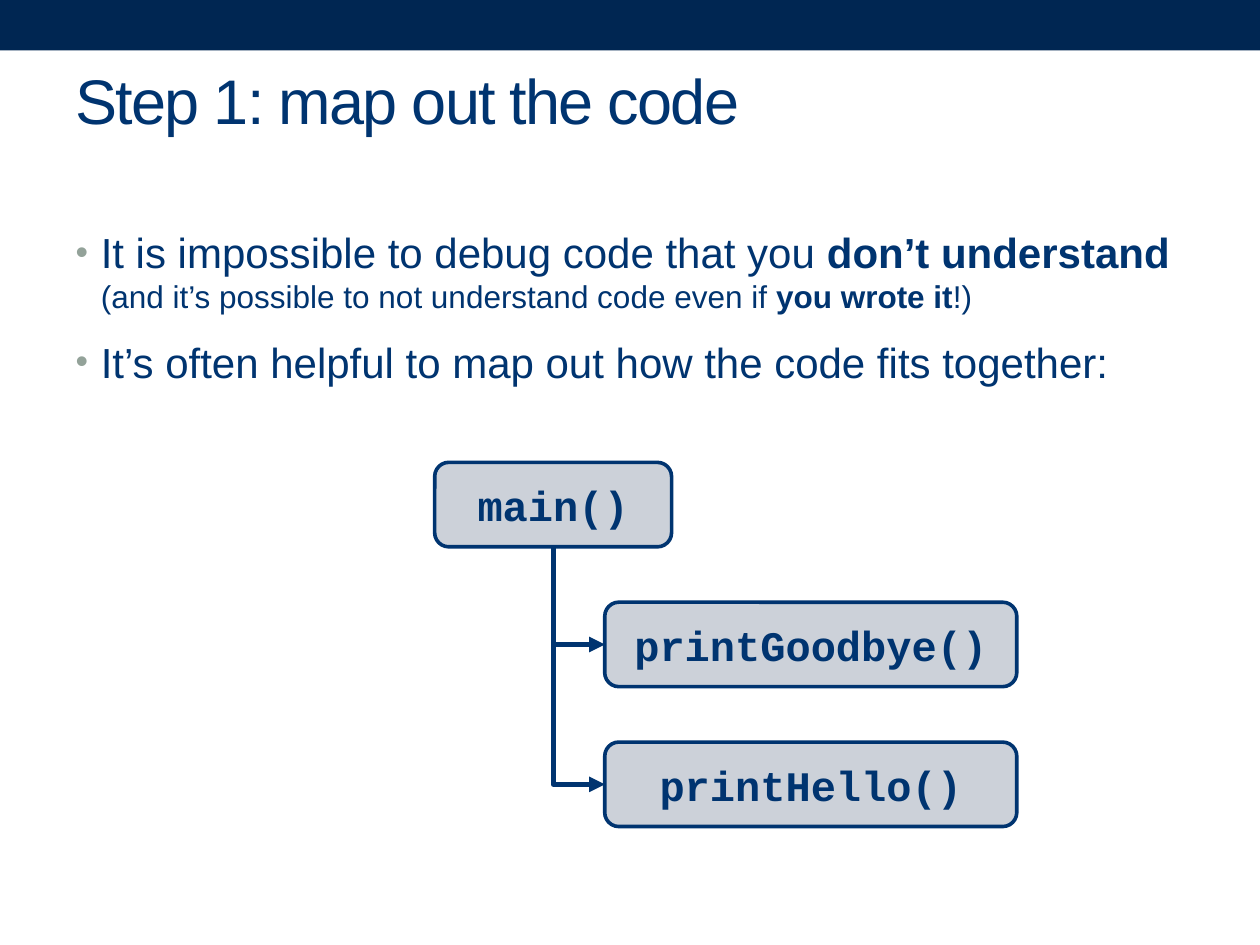
from lxml.etree import SubElement
from pptx import Presentation
from pptx.dml.color import RGBColor
from pptx.enum.shapes import MSO_CONNECTOR as Connector, MSO_SHAPE as Shape
from pptx.enum.text import MSO_ANCHOR as Anchor, PP_ALIGN as Align
from pptx.oxml.ns import qn
from pptx.util import Emu, Inches, Pt

NAVY, BAR, PANEL, BULLET = "003470", "002652", "CCD1D9", "93A299"
COLUMNS, ROWS = 100, 75


def color(value):
    return RGBColor.from_string(value)


def apply(target, **formats):
    for name, value in formats.items():
        setattr(target, name, value)


class SlideBuilder:
    """Holds the style and the current page; lengths are grid columns and rows."""

    def __init__(self, deck):
        self.page = deck.slides.add_slide(deck.slide_layouts[1])
        self.column = deck.slide_width / COLUMNS
        self.row = deck.slide_height / ROWS

    def area(self, left, top, width, height):
        return [Emu(round(n * unit)) for n, unit in zip(
            (left, top, width, height), (self.column, self.row) * 2)]

    def place(self, shape, *area):
        apply(shape, **dict(zip(("left", "top", "width", "height"), self.area(*area))))

    def add_span(self, para, text, size, font="Arial", bold=False):
        span = para.add_run()
        span.text = text
        apply(span.font, name=font, size=Pt(size), bold=bold)
        span.font.color.rgb = color(NAVY)
        return span

    def title(self, text, *area):
        box = self.page.shapes.title
        self.place(box, *area)
        box.text_frame.vertical_anchor = Anchor.MIDDLE
        para = box.text_frame.paragraphs[0]
        para.alignment = Align.LEFT
        self.add_span(para, text, 36).font._element.set("spc", "-100")

    def bullets(self, items, *area):
        box = self.page.placeholders[1]
        self.place(box, *area)
        frame = box.text_frame
        for index, spans in enumerate(items):
            para = frame.add_paragraph() if index else frame.paragraphs[0]
            apply(para, space_before=Pt(12 if index else 0), line_spacing=1.0)
            props = para._p.get_or_add_pPr()
            props.set("marL", str(Inches(0.2)))
            props.set("indent", str(-Inches(0.2)))
            tint = SubElement(props, qn("a:buClr"))
            SubElement(tint, qn("a:srgbClr"), val=BULLET)
            SubElement(props, qn("a:buSzPct"), val="85000")
            SubElement(props, qn("a:buFont"), typeface="Arial")
            SubElement(props, qn("a:buChar"), char="•")
            for text, size, bold in spans:
                self.add_span(para, text, size, bold=bold)

    def panel(self, kind, fill, *area):
        shape = self.page.shapes.add_shape(kind, *self.area(*area))
        shape.shadow.inherit = False
        shape.fill.solid()
        shape.fill.fore_color.rgb = color(fill)
        shape.line.fill.background()
        return shape

    def bar(self, *area):
        shape = self.panel(Shape.RECTANGLE, BAR, *area)
        self.page.shapes._spTree.insert(2, shape._element)  # behind the title

    def function_box(self, name, *area):
        box = self.panel(Shape.ROUNDED_RECTANGLE, PANEL, *area)
        box.line.color.rgb = color(NAVY)
        box.line.width = Pt(2.08)
        apply(box.text_frame, vertical_anchor=Anchor.MIDDLE, word_wrap=True)
        para = box.text_frame.paragraphs[0]
        para.alignment = Align.CENTER
        self.add_span(para, name, 24, "Courier New", True)

    def call_arrow(self, left, top, right, bottom):
        """Runs down, then right: a two-part elbow turned by 270 degrees."""
        x, y, across, down = self.area(left, top, right - left, bottom - top)
        start_x = x + (across - down) // 2
        start_y = y + (down - across) // 2
        arrow = self.page.shapes.add_connector(
            Connector.ELBOW, start_x, start_y, start_x + down, start_y + across)
        arrow.line.color.rgb = color(NAVY)
        arrow.line.width = Pt(3)
        props = arrow._element.spPr
        props.find(qn("a:prstGeom")).set("prst", "bentConnector2")
        turn = props.find(qn("a:xfrm"))
        turn.set("rot", str(270 * 60000))
        turn.set("flipH", "1")
        SubElement(props.find(qn("a:ln")), qn("a:tailEnd"), type="triangle")
        SubElement(props, qn("a:effectLst"))


def main():
    deck = Presentation()
    apply(deck, slide_width=Inches(10), slide_height=Inches(7.5))
    slide = SlideBuilder(deck)

    # Header and text
    slide.bar(0, 0, COLUMNS, 4)
    slide.title("Step 1: map out the code", 5, 2.5, 90, 10.8)
    slide.bullets([
        [("It is impossible to debug code that you ", 24, False),
         ("don’t understand ", 24, True),
         ("(and it’s possible to not understand code even if ", 18, False),
         ("you wrote it", 18, True),
         ("!)", 18, False)],
        [("It’s often helpful to map out how the code fits together:", 24, False)],
    ], 5, 17.5, 90, 53.3)

    # Call tree: the caller, then each called function one step lower
    top, height, step = 36.7, 6.7, 11.1
    caller_left, caller_width, called_left = 34.5, 18.8, 48
    slide.function_box("main()", caller_left, top, caller_width, height)
    stem, stem_top = caller_left + caller_width / 2, top + height
    for name in ("printGoodbye()", "printHello()"):
        top += step
        middle = top + height / 2
        slide.function_box(name, called_left, top, 32.7, height)
        slide.call_arrow(stem, stem_top, called_left, middle)
        stem_top = middle

    deck.save("out.pptx")


if __name__ == "__main__":
    main()
